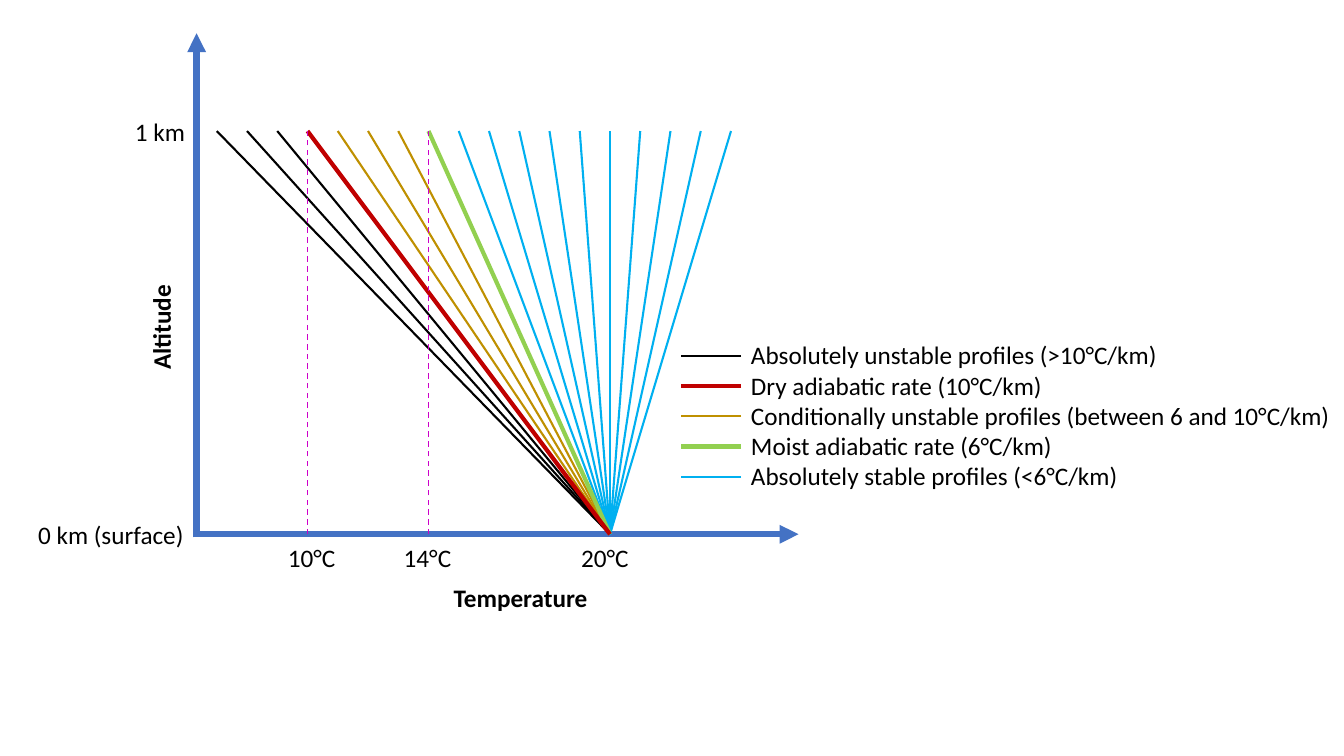
from dataclasses import dataclass
from typing import Optional

from lxml.etree import SubElement
from pptx import Presentation
from pptx.dml.color import RGBColor
from pptx.enum.dml import MSO_LINE
from pptx.enum.shapes import MSO_CONNECTOR
from pptx.enum.text import MSO_AUTO_SIZE, PP_ALIGN
from pptx.oxml.ns import qn
from pptx.shapes.connector import Connector
from pptx.slide import Slide
from pptx.util import Emu, Pt

EMU_PER_PX = 9144
COLORS = {
    "axis": "4472C4",
    "text": "000000",
    "unstable": "000000",
    "dry": "C00000",
    "conditional": "BF9000",
    "moist": "92D050",
    "stable": "00B0F0",
    "guide": "CD00C9",
}
SURFACE_Y = 530
TOP_Y = 130
SURFACE_TEMPERATURE = 20
SURFACE_X = 605
PX_PER_DEGREE = 30
LEGEND_X = 735
LEGEND_Y = 353
LEGEND_STEP = 30
SWATCH_WIDTH = 60


@dataclass(frozen=True)
class ProfileGroup:
    color: str
    width: float
    temperatures: range
    label: str


@dataclass(frozen=True)
class Label:
    text: str
    left: int
    top: int
    width: int
    bold: bool = False
    rotation: int = 0
    align: PP_ALIGN = PP_ALIGN.LEFT


PROFILE_GROUPS = {
    "unstable": ProfileGroup("unstable", 1.5, range(7, 10), "Absolutely unstable profiles (>10°C/km)"),
    "dry": ProfileGroup("dry", 3, range(10, 11), "Dry adiabatic rate (10°C/km)"),
    "conditional": ProfileGroup(
        "conditional", 1.5, range(11, 14), "Conditionally unstable profiles (between 6 and 10°C/km)"
    ),
    "moist": ProfileGroup("moist", 3, range(14, 15), "Moist adiabatic rate (6°C/km)"),
    "stable": ProfileGroup("stable", 1.5, range(15, 25), "Absolutely stable profiles (<6°C/km)"),
}
DRAW_ORDER = ("conditional", "unstable", "stable", "moist", "dry")
LABELS = (
    Label("Temperature", 440, 573, 158, bold=True),
    Label("Altitude", 107, 304, 105, bold=True, rotation=270),
    Label("0 km (surface)", 28, 510, 166),
    Label("1 km", 124, 110, 70),
    Label("10°C", 275, 533, 68, align=PP_ALIGN.CENTER),
    Label("14°C", 390, 533, 68, align=PP_ALIGN.CENTER),
    Label("20°C", 566, 533, 68, align=PP_ALIGN.CENTER),
)


def px(value: int) -> Emu:
    return Emu(value * EMU_PER_PX)


def temperature_x(temperature: int) -> int:
    return SURFACE_X + PX_PER_DEGREE * (temperature - SURFACE_TEMPERATURE)


def add_line(
    slide: Slide,
    start: tuple[int, int],
    end: tuple[int, int],
    color: str,
    width: float,
    dash: Optional[MSO_LINE] = None,
    arrow: bool = False,
) -> Connector:
    connector = slide.shapes.add_connector(
        MSO_CONNECTOR.STRAIGHT, px(start[0]), px(start[1]), px(end[0]), px(end[1])
    )
    connector.line.color.rgb = RGBColor.from_string(COLORS[color])
    connector.line.width = Pt(width)
    if dash is not None:
        connector.line.dash_style = dash
    properties = connector._element.spPr
    if arrow:
        SubElement(properties.find(qn("a:ln")), qn("a:tailEnd"), type="triangle")
    SubElement(properties, qn("a:effectLst"))
    return connector


def add_text(
    slide: Slide,
    text: str,
    *,
    left: int,
    top: int,
    width: int,
    height: int = 40,
    bold: bool = False,
    rotation: int = 0,
    align: PP_ALIGN = PP_ALIGN.LEFT,
) -> None:
    shape = slide.shapes.add_textbox(px(left), px(top), px(width), px(height))
    shape.rotation = rotation
    frame = shape.text_frame
    frame.word_wrap = False
    frame.auto_size = MSO_AUTO_SIZE.SHAPE_TO_FIT_TEXT
    frame.text = text
    for paragraph in frame.paragraphs:
        paragraph.alignment = align
        font = paragraph.runs[0].font
        font.name = "Calibri"
        font.size = Pt(18)
        font.bold = bold
        font.color.rgb = RGBColor.from_string(COLORS["text"])


def add_axes(slide: Slide) -> None:
    add_line(slide, (192, SURFACE_Y), (792, SURFACE_Y), "axis", 4.5, arrow=True)
    add_line(slide, (195, 533), (195, 33), "axis", 4.5, arrow=True)


def add_profiles(slide: Slide) -> None:
    for name in DRAW_ORDER:
        group = PROFILE_GROUPS[name]
        for temperature in group.temperatures:
            end = (temperature_x(temperature), TOP_Y)
            add_line(slide, (SURFACE_X, SURFACE_Y), end, group.color, group.width)


def add_guides(slide: Slide) -> None:
    for temperature in (10, 14):
        x = temperature_x(temperature)
        add_line(slide, (x, SURFACE_Y), (x, TOP_Y), "guide", 1, dash=MSO_LINE.DASH)


def add_legend(slide: Slide) -> None:
    for index, group in enumerate(PROFILE_GROUPS.values()):
        y = LEGEND_Y + LEGEND_STEP * index
        add_line(slide, (LEGEND_X, y), (LEGEND_X - SWATCH_WIDTH, y), group.color, group.width)
    text = "\n".join(group.label for group in PROFILE_GROUPS.values())
    add_text(slide, text, left=LEGEND_X, top=332, width=602, height=162)


def main() -> None:
    presentation = Presentation()
    presentation.slide_width = px(1333)
    presentation.slide_height = px(750)
    slide = presentation.slides.add_slide(presentation.slide_layouts.get_by_name("Blank"))
    add_axes(slide)
    add_profiles(slide)
    for label in LABELS:
        add_text(
            slide,
            label.text,
            left=label.left,
            top=label.top,
            width=label.width,
            bold=label.bold,
            rotation=label.rotation,
            align=label.align,
        )
    add_guides(slide)
    add_legend(slide)
    presentation.save("out.pptx")


if __name__ == "__main__":
    main()
